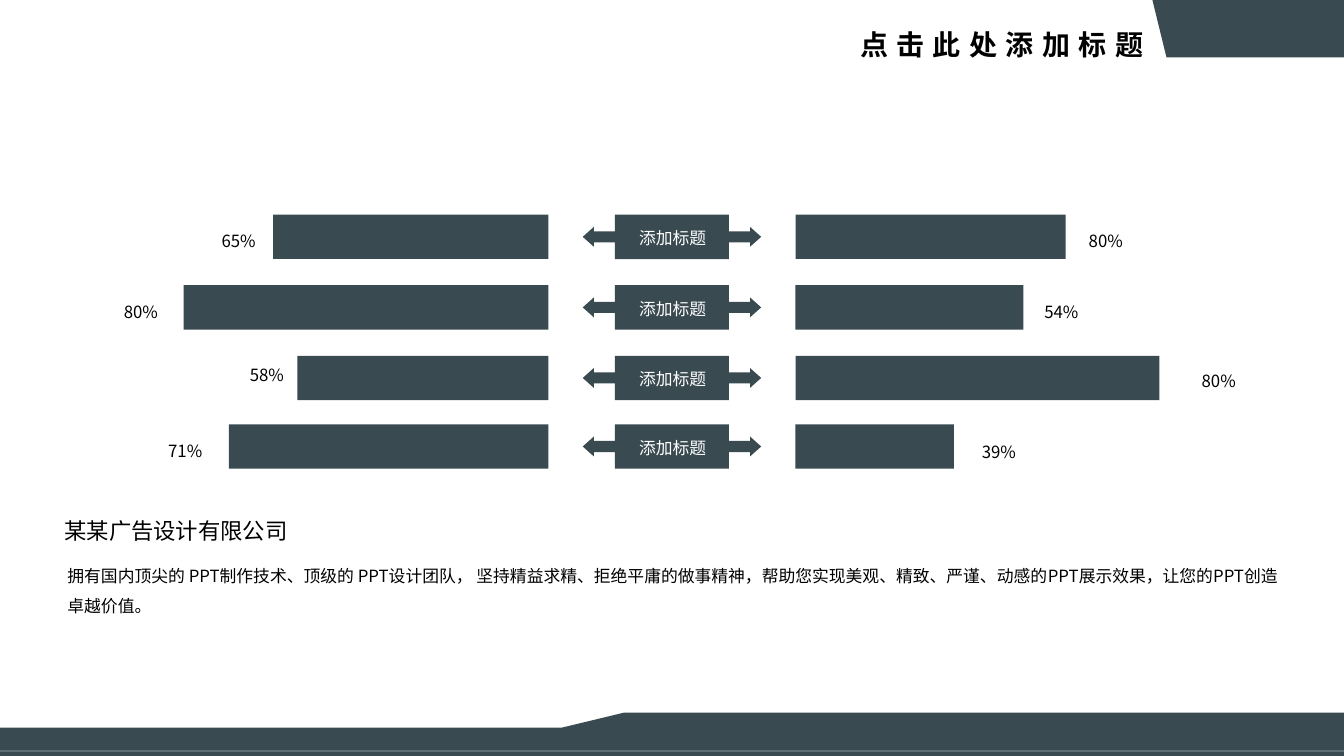
from pptx import Presentation
from pptx.dml.color import RGBColor
from pptx.enum.shapes import MSO_CONNECTOR, MSO_SHAPE as SHAPE
from pptx.enum.text import MSO_ANCHOR, MSO_AUTO_SIZE, PP_ALIGN
from pptx.oxml.ns import qn
from pptx.util import Inches, Pt
from lxml import etree

FONT = "Noto Sans CJK SC"
SLATE = "394A51"
BAR_H = 0.44
CALLOUT_ADJUSTMENTS = (0.25, 0.223, 0.25, 0.639)

# top, left bar width, right bar width
ROWS = [(2.13, 2.73, 2.68), (2.83, 3.62, 2.26), (3.53, 2.49, 3.61), (4.21, 3.17, 1.57)]
# text, left, top
LEFT_VALUES = [("65%", 2.1, 2.14), ("80%", 1.13, 2.84), ("58%", 2.38, 3.47), ("71%", 1.57, 4.22)]
RIGHT_VALUES = [("80%", 10.7, 2.14), ("54%", 10.26, 2.84), ("80%", 11.82, 3.53), ("39%", 9.64, 4.23)]


def rgb(color):
    return RGBColor.from_string(color)


def box(x, y, w, h):
    return Inches(x), Inches(y), Inches(w), Inches(h)


def paint(sp, color=SLATE):
    sp.shadow.inherit = False
    sp.fill.solid()
    sp.fill.fore_color.rgb = rgb(color)
    sp.line.fill.background()


def write(sp, text, size, color="000000", bold=False, line_spacing=1.0, tracking=0):
    """Fill a text shape with one left-aligned paragraph; tracking is in points."""
    tf = sp.text_frame
    tf.word_wrap = True
    tf.auto_size = MSO_AUTO_SIZE.SHAPE_TO_FIT_TEXT
    tf.vertical_anchor = MSO_ANCHOR.TOP
    p = tf.paragraphs[0]
    p.text = text
    p.alignment = PP_ALIGN.LEFT
    p.line_spacing = line_spacing
    p.font.name, p.font.size, p.font.bold = FONT, Pt(size), bold
    p.font.color.rgb = rgb(color)
    props = p._p.get_or_add_pPr().find(qn("a:defRPr"))
    etree.SubElement(props, qn("a:ea"), typeface=FONT)
    if tracking:
        for r in p.runs:
            r._r.get_or_add_rPr().set("spc", str(tracking * 100))


def add_text(slide, x, y, w, h, text, size, **style):
    write(slide.shapes.add_textbox(*box(x, y, w, h)), text, size, **style)


def add_outline(slide, points):
    (x, y), *rest = [(Inches(px), Inches(py)) for px, py in points]
    builder = slide.shapes.build_freeform(x, y)
    builder.add_line_segments(rest, close=True)
    paint(builder.convert_to_shape())


def add_bar(slide, x, y, w):
    paint(slide.shapes.add_shape(SHAPE.RECTANGLE, *box(x, y, w, BAR_H)))


def add_callout(slide, x, y, w):
    sp = slide.shapes.add_shape(SHAPE.LEFT_RIGHT_ARROW_CALLOUT, *box(x, y, w, BAR_H))
    for i, value in enumerate(CALLOUT_ADJUSTMENTS):
        sp.adjustments[i] = value
    paint(sp)
    add_text(slide, x + 0.46, y + 0.08, 0.92, 0.3, "添加标题", 12, color="FFFFFF")


def add_comparison(slide, left_edge, callout_x, callout_w, right_edge):
    """Draw bars growing outwards from both edges, with a callout between them."""
    for y, left_w, right_w in ROWS:
        add_bar(slide, left_edge - left_w, y, left_w)
        add_callout(slide, callout_x, y, callout_w)
        add_bar(slide, right_edge, y, right_w)
    for text, x, y in LEFT_VALUES + RIGHT_VALUES:
        add_text(slide, x, y, 0.67, 0.4, text, 12, line_spacing=1.5)


def add_company(slide, x, y, w):
    add_text(slide, x, y, 2.92, 0.37, "某某广告设计有限公司", 16)
    add_text(slide, x + 0.03, y + 0.38, w, 0.71,
             "拥有国内顶尖的 PPT制作技术、顶级的 PPT设计团队， 坚持精益求精、拒绝平庸的做事精神，"
             "帮助您实现美观、精致、严谨、动感的PPT展示效果，让您的PPT创造卓越价值。",
             12, line_spacing=1.5)


def add_header(slide, x, y, w, h):
    title = slide.shapes.title
    title.left, title.top, title.width, title.height = box(x, y, w, h)
    write(title, "点击此处添加标题", 20, bold=True, tracking=6)
    add_outline(slide, [(13.33, 0), (13.33, 0.57), (11.57, 0.57), (11.43, 0)])


def add_footer(slide, top, w, bottom):
    step = top + 0.15
    add_outline(slide, [(w, bottom), (w, top), (6.19, top), (5.57, step), (0, step), (0, bottom)])
    rule_y = Inches(bottom - 0.05)
    rule = slide.shapes.add_connector(MSO_CONNECTOR.STRAIGHT, Inches(w), rule_y, 0, rule_y)
    rule.line.color.rgb = rgb("BACBD7")
    rule.line.width = Pt(0.5)
    color = rule.line._ln.find(".//" + qn("a:srgbClr"))
    etree.SubElement(color, qn("a:alpha"), val="80000")
    etree.SubElement(rule._element.spPr, qn("a:effectLst"))


def main():
    prs = Presentation()
    prs.slide_width, prs.slide_height = Inches(13.33), Inches(7.5)
    slide = prs.slides.add_slide(prs.slide_layouts[5])
    add_comparison(slide, left_edge=5.44, callout_x=5.78, callout_w=1.77, right_edge=7.89)
    add_company(slide, 0.54, 5.08, 12.28)
    add_header(slide, 8.43, 0.22, 3.54, 0.44)
    add_footer(slide, top=7.07, w=13.33, bottom=7.5)
    prs.save("out.pptx")


if __name__ == "__main__":
    main()
